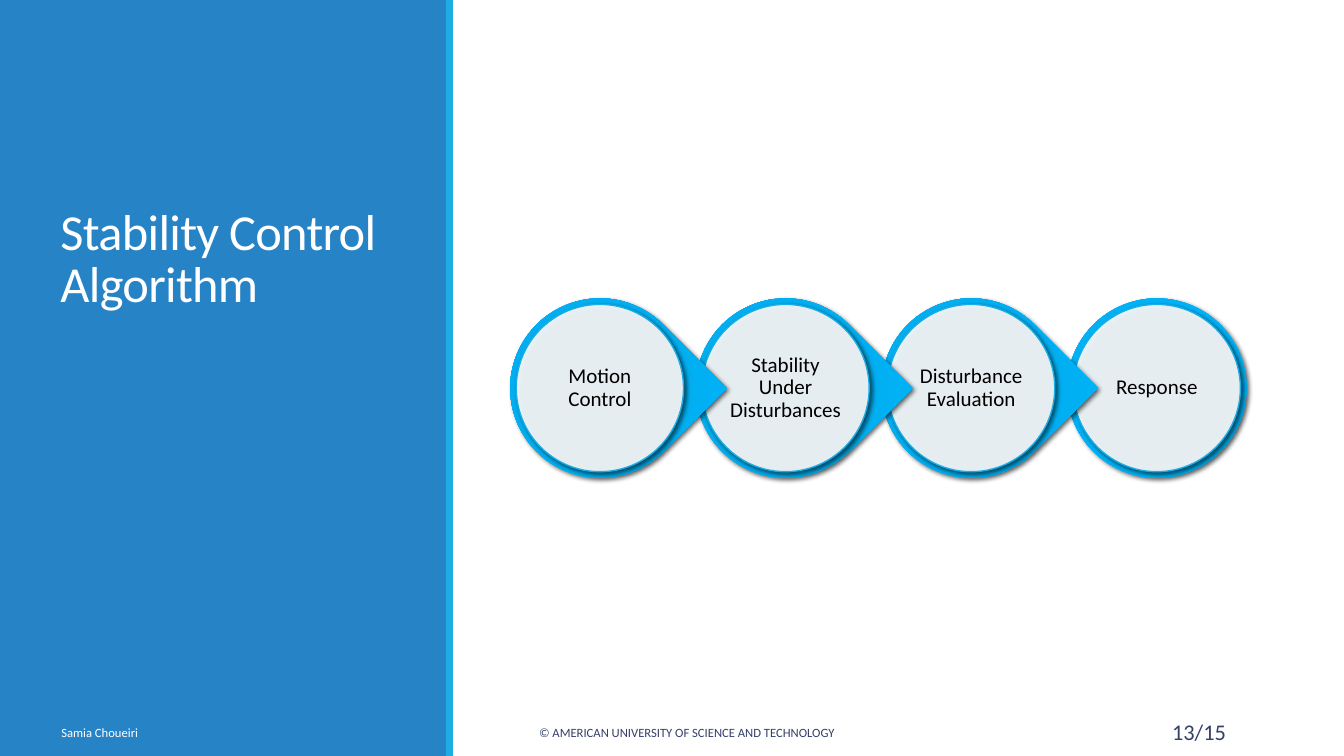
from pptx import Presentation
from pptx.dml.color import RGBColor
from pptx.enum import shapes, text
from pptx.oxml import parse_xml
from pptx.oxml.ns import nsdecls, qn
from pptx.util import Pt

HEADING = "Stability Control Algorithm"
STEPS = ["Motion Control", "Stability Under Disturbances", "Disturbance Evaluation", "Response"]
LEFT, RIGHT = text.PP_ALIGN.LEFT, text.PP_ALIGN.RIGHT
WHITE = RGBColor(0xFF, 0xFF, 0xFF)
BLACK = RGBColor(0x00, 0x00, 0x00)
PANEL_BLUE = RGBColor(0x26, 0x83, 0xC6)
ACCENT_BLUE = RGBColor(0x1C, 0xAD, 0xE4)
NAVY = RGBColor(0x34, 0x40, 0x68)
FOOTERS = [
    ("© AMERICAN UNIVERSITY OF SCIENCE AND TECHNOLOGY", 378, 365.8, 9, NAVY, LEFT),
    ("Samia Choueiri", 36.7, 206, 9, WHITE, LEFT),
    ("13/15", 779.8, 103, 16, NAVY, RIGHT),
]
GLOW_STOPS = [
    (0, RGBColor(0x00, 0xAD, 0xEF)),
    (34, RGBColor(0x03, 0xAD, 0xEE)),
    (70, RGBColor(0x00, 0xB1, 0xF5)),
    (100, RGBColor(0x12, 0xB1, 0xEE)),
]
CHAIN_LEFT, CHAIN_TOP, STEP_PITCH = 364.4, 213.1, 132.6
RING_SIZE, DISC_SIZE, LABEL_SIZE = 128.2, 119.5, 85.7


def write(holder, words, size, color, align=LEFT, anchor=text.MSO_ANCHOR.MIDDLE,
          line_spacing=1.0, inset=None, tracking=None):
    frame = holder.text_frame
    frame.word_wrap = True
    frame.auto_size = text.MSO_AUTO_SIZE.NONE
    frame.vertical_anchor = anchor
    if inset is not None:
        frame.margin_left = frame.margin_right = Pt(inset)
        frame.margin_top = frame.margin_bottom = Pt(inset)
    paragraph = frame.paragraphs[0]
    paragraph.alignment = align
    paragraph.line_spacing = line_spacing
    run = paragraph.add_run()
    run.text = words
    run.font.name = "Calibri"
    run.font.size = Pt(size)
    run.font.color.rgb = color
    if tracking is not None:
        run.font._element.set("spc", str(int(tracking * 100)))


def add_filled(kind, left, top, width, height, color):
    part = slide.shapes.add_shape(kind, Pt(left), Pt(top), Pt(width), Pt(height))
    part.shadow.inherit = False
    part.fill.solid()
    part.fill.fore_color.rgb = color
    part.line.fill.background()
    return part


def add_shadow(part, blur):
    effects = part._element.spPr.find(qn("a:effectLst"))
    effects.append(parse_xml(
        f'<a:outerShdw {nsdecls("a")} blurRad="{Pt(blur)}" dist="{Pt(2)}" dir="2700000" '
        'algn="br" rotWithShape="0"><a:srgbClr val="000000"><a:alpha val="60000"/>'
        '</a:srgbClr></a:outerShdw>'))


def add_glow(part):
    stops = "".join(f'<a:gs pos="{at * 1000}"><a:srgbClr val="{color}"/></a:gs>'
                    for at, color in GLOW_STOPS)
    properties = part._element.spPr
    properties.replace(properties.find(qn("a:solidFill")), parse_xml(
        f'<a:gradFill {nsdecls("a")} rotWithShape="1"><a:gsLst>{stops}</a:gsLst>'
        '<a:path path="circle"><a:fillToRect l="100000" t="100000" r="100000" b="100000"/>'
        '</a:path></a:gradFill>'))


def add_step(index, words):
    left = CHAIN_LEFT + index * STEP_PITCH
    is_last = index == len(STEPS) - 1
    oval = shapes.MSO_SHAPE.OVAL
    ring = add_filled(oval if is_last else shapes.MSO_SHAPE.TEAR, left, CHAIN_TOP,
                      RING_SIZE, RING_SIZE, ACCENT_BLUE)
    if not is_last:
        ring.rotation = 45
    add_glow(ring)
    add_shadow(ring, 3.5)

    margin = (RING_SIZE - DISC_SIZE) / 2
    disc = add_filled(oval, left + margin, CHAIN_TOP + margin, DISC_SIZE, DISC_SIZE, WHITE)
    tint = disc._element.spPr.find(qn("a:solidFill"))[0]
    tint.append(parse_xml(f'<a:alpha {nsdecls("a")} val="90000"/>'))
    disc.line.color.rgb = ACCENT_BLUE
    disc.line.width = Pt(1)
    add_shadow(disc, 3)

    margin = (RING_SIZE - LABEL_SIZE) / 2
    label = slide.shapes.add_textbox(Pt(left + margin), Pt(CHAIN_TOP + margin),
                                     Pt(LABEL_SIZE), Pt(LABEL_SIZE))
    write(label, words, 15, BLACK, align=text.PP_ALIGN.CENTER, line_spacing=0.9, inset=1.5)


deck = Presentation()
deck.slide_width, deck.slide_height = Pt(960), Pt(540)
slide = deck.slides.add_slide(deck.slide_layouts[5])

add_filled(shapes.MSO_SHAPE.RECTANGLE, 0, 0, 319, 540, PANEL_BLUE)
add_filled(shapes.MSO_SHAPE.RECTANGLE, 318.5, 0, 5, 540, ACCENT_BLUE)

heading = slide.shapes.title
slide.shapes._spTree.append(heading._element)
heading.left, heading.top, heading.width, heading.height = Pt(36), Pt(46.8), Pt(252), Pt(180)
write(heading, HEADING, 36, WHITE, anchor=text.MSO_ANCHOR.BOTTOM, line_spacing=0.85, tracking=-0.5)

for index, words in reversed(list(enumerate(STEPS))):
    add_step(index, words)

for words, left, width, size, color, align in FOOTERS:
    footer = slide.shapes.add_textbox(Pt(left), Pt(508.5), Pt(width), Pt(28.8))
    write(footer, words, size, color, align=align)

deck.save("out.pptx")
